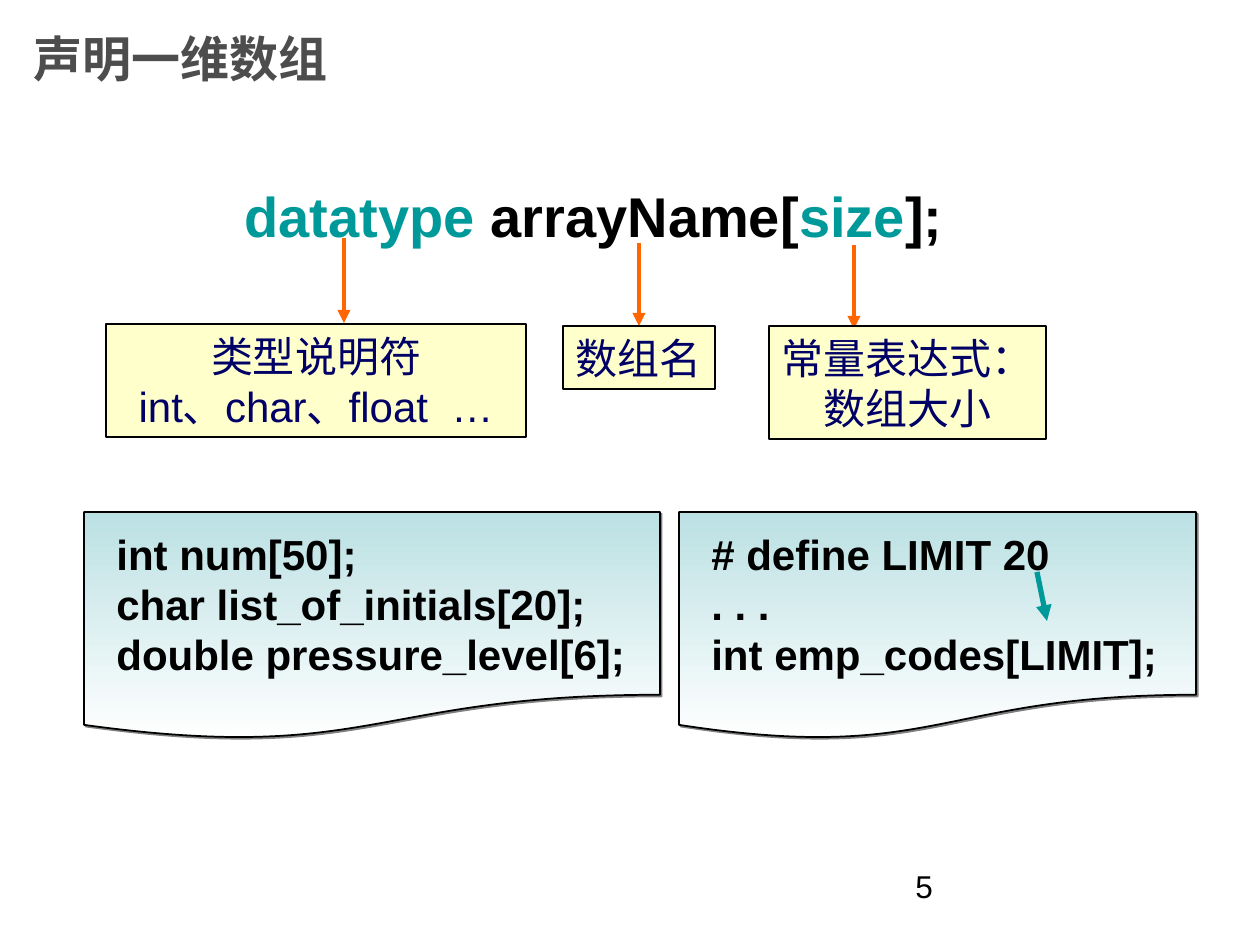
"""Build a slide on declaring one-dimensional arrays."""
from lxml.etree import SubElement as Sub
from pptx import Presentation
from pptx.dml.color import RGBColor as RGB
from pptx.enum.shapes import MSO_CONNECTOR as Link, MSO_SHAPE as Kind
from pptx.enum.text import MSO_ANCHOR as Anchor, PP_ALIGN as Align
from pptx.oxml.ns import qn
from pptx.util import Emu, Pt

BLACK = RGB(0, 0, 0)
WHITE = RGB(255, 255, 255)
GRAY = RGB(0x4D, 0x4D, 0x4D)
TEAL = RGB(0, 0x99, 0x99)
ORANGE = RGB(0xFF, 0x66, 0)
NAVY = RGB(0, 0, 0x66)
CREAM = RGB(0xFF, 0xFF, 0xCC)
AQUA = RGB(0xBB, 0xE0, 0xE3)
SHADE = "808080"
FONT = "Arial"

TITLE = "声明一维数组"
SYNTAX = [("datatype", TEAL), (" arrayName[", BLACK), ("size", TEAL), ("];", BLACK)]
LABELS = [
    ("类型说明符\nint、char、float  …", (106, 324, 420, 113), (344, 238, 344, 323)),
    ("数组名", (563, 326, 152, 63), (639, 243, 639, 326)),
    ("常量表达式：\n数组大小", (769, 326, 277, 113), (854, 245, 854, 329)),
]
CODES = [
    ("int num[50];\nchar list_of_initials[20];\ndouble pressure_level[6];", 84, 576),
    ("# define LIMIT 20\n. . .\nint emp_codes[LIMIT];", 679, 517),
]
LIMIT = (1037, 572, 1047, 621)
PAGE = "5"


def px(*nums):
    return [Emu(round(n * 914400 / 126)) for n in nums]


def style(frame, size, color, bold=False, align=Align.LEFT):
    for para in frame.paragraphs:
        para.alignment = align
        for run in para.runs:
            font = run.font
            font.name, font.size, font.bold = FONT, Pt(size), bold
            font.color.rgb = color


def write(slide, text, spot, size, color, bold=False, align=Align.LEFT, wrap=False):
    box = slide.shapes.add_textbox(*px(*spot))
    frame = box.text_frame
    frame.text, frame.word_wrap = text, wrap
    style(frame, size, color, bold, align)
    return box


def edge(shape, color, width):
    shape.line.color.rgb = color
    shape.line.width = Pt(width)


def arrow(slide, ends, color, width):
    link = slide.shapes.add_connector(Link.STRAIGHT, *px(*ends))
    edge(link, color, width)
    Sub(link.line._get_or_add_ln(), qn("a:tailEnd"), type="triangle")
    Sub(link._element.spPr, qn("a:effectLst"))
    return link


def sheet(slide, spot):
    shape = slide.shapes.add_shape(Kind.FLOWCHART_DOCUMENT, *px(*spot))
    fill = shape.fill
    fill.gradient()
    fill.gradient_angle = 270
    for stop, color in zip(fill.gradient_stops, (AQUA, WHITE)):
        stop.color.rgb = color
    edge(shape, BLACK, 1)
    shape.shadow.inherit = False
    effects = shape._element.spPr.find(qn("a:effectLst"))
    cast = Sub(effects, qn("a:outerShdw"), dist=str(Pt(1.4)), dir="2700000", algn="ctr")
    Sub(cast, qn("a:srgbClr"), val=SHADE)


def main():
    deck = Presentation()
    deck.slide_width, deck.slide_height = px(1260, 945)
    slide = deck.slides.add_slide(deck.slide_layouts[5])

    title = slide.shapes.title
    title.left, title.top, title.width, title.height = px(21, 0, 945, 116)
    title.text_frame.text = TITLE
    title.text_frame.vertical_anchor = Anchor.MIDDLE
    style(title.text_frame, 28, GRAY, True)

    box = write(slide, "", (232, 175, 723, 81), 32, BLACK)
    para = box.text_frame.paragraphs[0]
    for text, _ in SYNTAX:
        para.add_run().text = text
    style(box.text_frame, 32, BLACK, True, Align.CENTER)
    for run, (_, color) in zip(para.runs, SYNTAX):
        run.font.color.rgb = color

    for text, spot, ends in LABELS:
        link = arrow(slide, ends, ORANGE, 2.5)
        label = write(slide, text, spot, 24, NAVY, align=Align.CENTER)
        label.fill.solid()
        label.fill.fore_color.rgb = CREAM
        edge(label, BLACK, 0.75)
        left, top, width, _ = spot
        if ends[2:] == (left + width // 2, top):
            link.end_connect(label, 0)

    for text, left, width in CODES:
        sheet(slide, (left, 512, width, 228))
        write(slide, text, (left + 20, 522, width - 36, 164), 24, BLACK, True)

    arrow(slide, LIMIT, TEAL, 3)
    write(slide, PAGE, (903, 861, 294, 66), 18, BLACK, wrap=True)
    deck.save("out.pptx")


if __name__ == "__main__":
    main()
